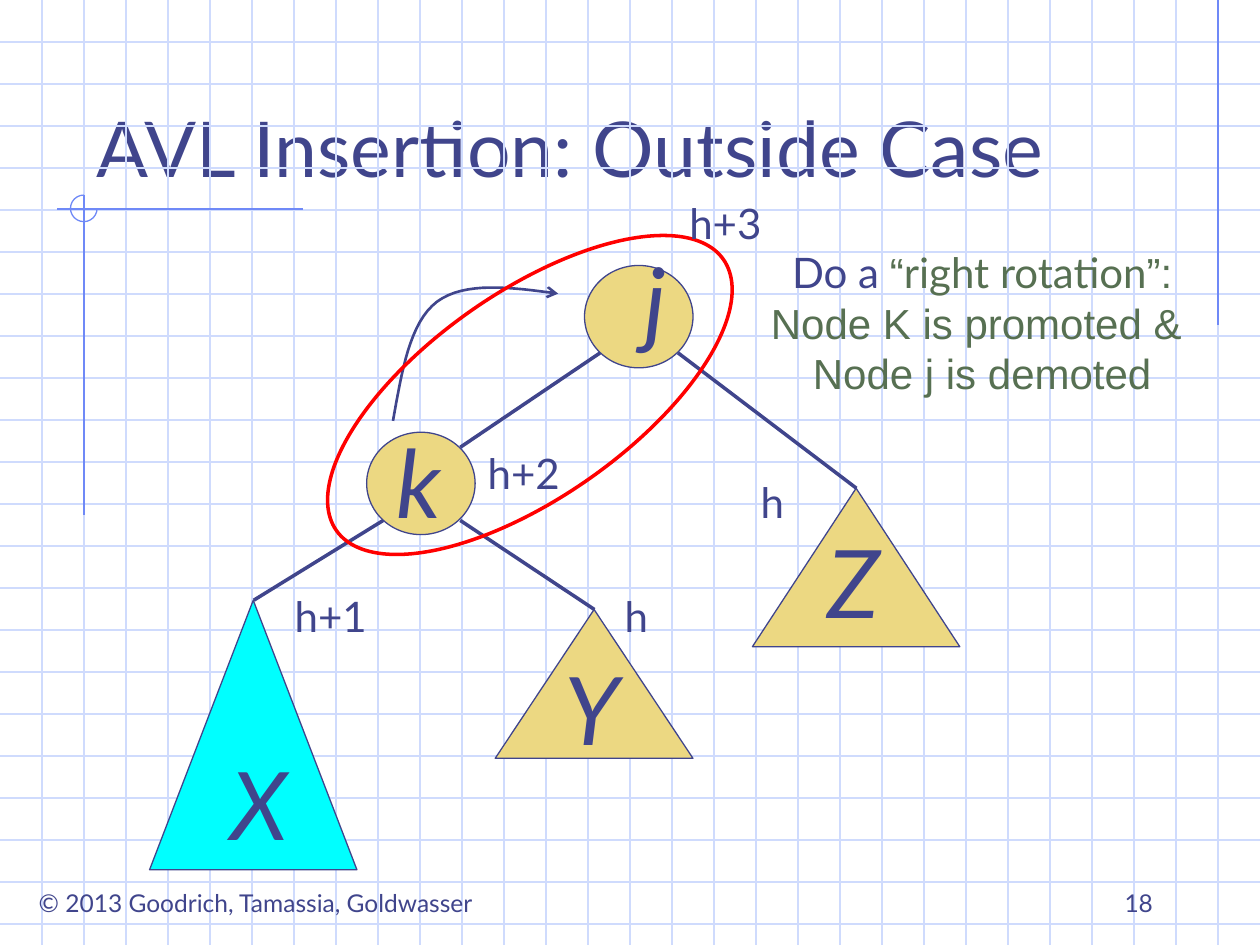
from pptx import Presentation
from pptx.dml.color import RGBColor
from pptx.enum.shapes import MSO_CONNECTOR, MSO_SHAPE as SHAPE
from pptx.enum.text import MSO_ANCHOR as ANCHOR, MSO_AUTO_SIZE as AUTO, PP_ALIGN as ALIGN
from pptx.oxml.ns import qn
from pptx.util import Pt
from lxml.etree import SubElement

C = {"ink": "40458C", "grid": "CFDBFD", "accent": "6F89F7", "gold": "ECD882",
     "cyan": "00FFFF", "red": "FF0000", "green": "577052"}
W, H, STEP = 720, 540, 24

# Content: lengths in points
TITLE = "AVL Insertion: Outside Case"
ACCENTS = [(696, 0, 696, 186), (173, 119.5, 32.5, 119.5), (48, 111.5, 48, 294.5)]
NODES = [  # letter, shape, fill, shape box, letter box left and top
    ("j", SHAPE.OVAL, "gold", (334, 151.7, 62, 58.5), (355.5, 134.5)),
    ("k", SHAPE.OVAL, "gold", (209.5, 247, 62, 58.5), (219.5, 239)),
    ("X", SHAPE.ISOSCELES_TRIANGLE, "cyan", (85.5, 343, 118.5, 154), (124.5, 422.6)),
    ("Y", SHAPE.ISOSCELES_TRIANGLE, "gold", (283, 348.3, 113, 85), (315.4, 368.6)),
    ("Z", SHAPE.ISOSCELES_TRIANGLE, "gold", (430, 279, 118.5, 90.5), (466, 296)),
]
EDGES = [(343, 201.6, 263, 255.6), (219, 297.4, 145, 343),
         (263, 297.4, 339.7, 348.3), (387.4, 201.6, 489.4, 279)]
HEIGHTS = [("h", 427, 268.5, 28.8), ("h+1", 160.5, 334, 57), ("h", 349.2, 334, 28.8),
           ("h+2", 270.8, 252, 57), ("h+3", 386, 109.5, 57)]
ADVICE = [
    [("Do a ", "Lato", "ink"), ("“", "Arial", "green"),
     ("right rotation", "Lato", "green"), ("”:", "Arial", "green")],
    [("Node K is promoted & ", "Arial", "green")],
    [("Node j is demoted", "Arial", "green")],
]
CURVE = [[(224.6, 240.5), (229.7, 212.4), (234, 184.3), (249.8, 172.4)],
         [(249.8, 172.4), (265.7, 160.6), (292.3, 164.2), (319, 167.8)]]

prs = Presentation()
prs.slide_width, prs.slide_height = Pt(W), Pt(H)
s = prs.slides.add_slide(prs.slide_layouts[5])


def rgb(name):
    return RGBColor.from_string(C[name])


def set_line(sp, color, width):
    sp.line.color.rgb = rgb(color)
    sp.line.width = Pt(width)


def add_line(x1, y1, x2, y2, color, width):
    cn = s.shapes.add_connector(MSO_CONNECTOR.STRAIGHT, Pt(x1), Pt(y1), Pt(x2), Pt(y2))
    set_line(cn, color, width)
    SubElement(cn._element.spPr, qn("a:effectLst"))


def style(sp, line, width, fill=None):
    sp.shadow.inherit = False
    set_line(sp, line, width)
    if fill:
        sp.fill.solid()
        sp.fill.fore_color.rgb = rgb(fill)
    else:
        sp.fill.background()


def add_shape(kind, box, line, width, fill=None):
    sp = s.shapes.add_shape(kind, *map(Pt, box))
    style(sp, line, width, fill)
    return sp


def add_run(p, text, size, font="Lato", color="ink", italic=None):
    r = p.add_run()
    r.text = text
    r.font.size, r.font.name, r.font.italic = Pt(size), font, italic
    r.font.color.rgb = rgb(color)


def add_text(lines, box, size, wrap=False, align=ALIGN.CENTER, anchor=ANCHOR.TOP, italic=None):
    tf = s.shapes.add_textbox(*map(Pt, box)).text_frame
    tf.word_wrap, tf.auto_size, tf.vertical_anchor = wrap, AUTO.NONE, anchor
    for i, runs in enumerate(lines):
        p = tf.add_paragraph() if i else tf.paragraphs[0]
        p.alignment = align
        for text, font, color in runs:
            add_run(p, text, size, font, color, italic)


def plain(text):
    return [[(text, "Lato", "ink")]]


def bezier(a, b, c, d, steps=16):
    for k in range(1, steps + 1):
        t = k / steps
        u = 1 - t
        yield tuple(Pt(u**3 * a[i] + 3 * u * u * t * b[i] + 3 * u * t * t * c[i] + t**3 * d[i])
                    for i in (0, 1))


# Graph paper and accent lines
for y in range(STEP, H, STEP):
    add_line(0, y, W, y, "grid", 0.75)
for x in range(STEP, W - STEP + 1, STEP):
    add_line(x, 0, x, H, "grid", 0.75)
for ends in ACCENTS:
    add_line(*ends, "accent", 0.75)
arc = add_shape(SHAPE.ARC, (40.3, 111.5, 15.2, 15.2), "accent", 0.75)
arc.adjustments[0], arc.adjustments[1] = 0, 162  # 270 degrees in 1/60000 units

# Footer and title
add_text(plain("© 2013 Goodrich, Tamassia, Goldwasser"), (6.5, 504, 279.4, 24.5), 14)
add_text(plain("18"), (516, 492, 150, 36), 14, True, ALIGN.RIGHT, ANCHOR.BOTTOM)
title = s.shapes.title
title.left, title.top, title.width, title.height = map(Pt, (48, 24, 612, 90))
tf = title.text_frame
tf.auto_size, tf.vertical_anchor = AUTO.NONE, ANCHOR.BOTTOM
p = tf.paragraphs[0]
p.alignment = ALIGN.LEFT
add_run(p, TITLE, 44)

# Tree
for letter, kind, fill, box, (x, y) in NODES:
    add_shape(kind, box, "ink", 0.75, fill)
    add_text(plain(letter), (x, y, 38, 72), 54, True, italic=True)
for ends in EDGES:
    add_line(*ends, "ink", 2)

# Rotation advice and curved arrow
add_text(ADVICE, (433.5, 137.5, 255.5, 93.6), 24)
builder = s.shapes.build_freeform(*map(Pt, CURVE[0][0]))
builder.add_line_segments([pt for seg in CURVE for pt in bezier(*seg)], close=False)
arrow = builder.convert_to_shape()
style(arrow, "ink", 1.5)
SubElement(arrow.line._get_or_add_ln(), qn("a:tailEnd"), type="arrow")

# Highlight ring and subtree heights
ring = add_shape(SHAPE.OVAL, (167.8, 167, 270, 117.4), "red", 2)
ring.rotation = 325
for text, x, y, width in HEIGHTS:
    add_text(plain(text), (x, y, width, 36), 24)

prs.save("out.pptx")
